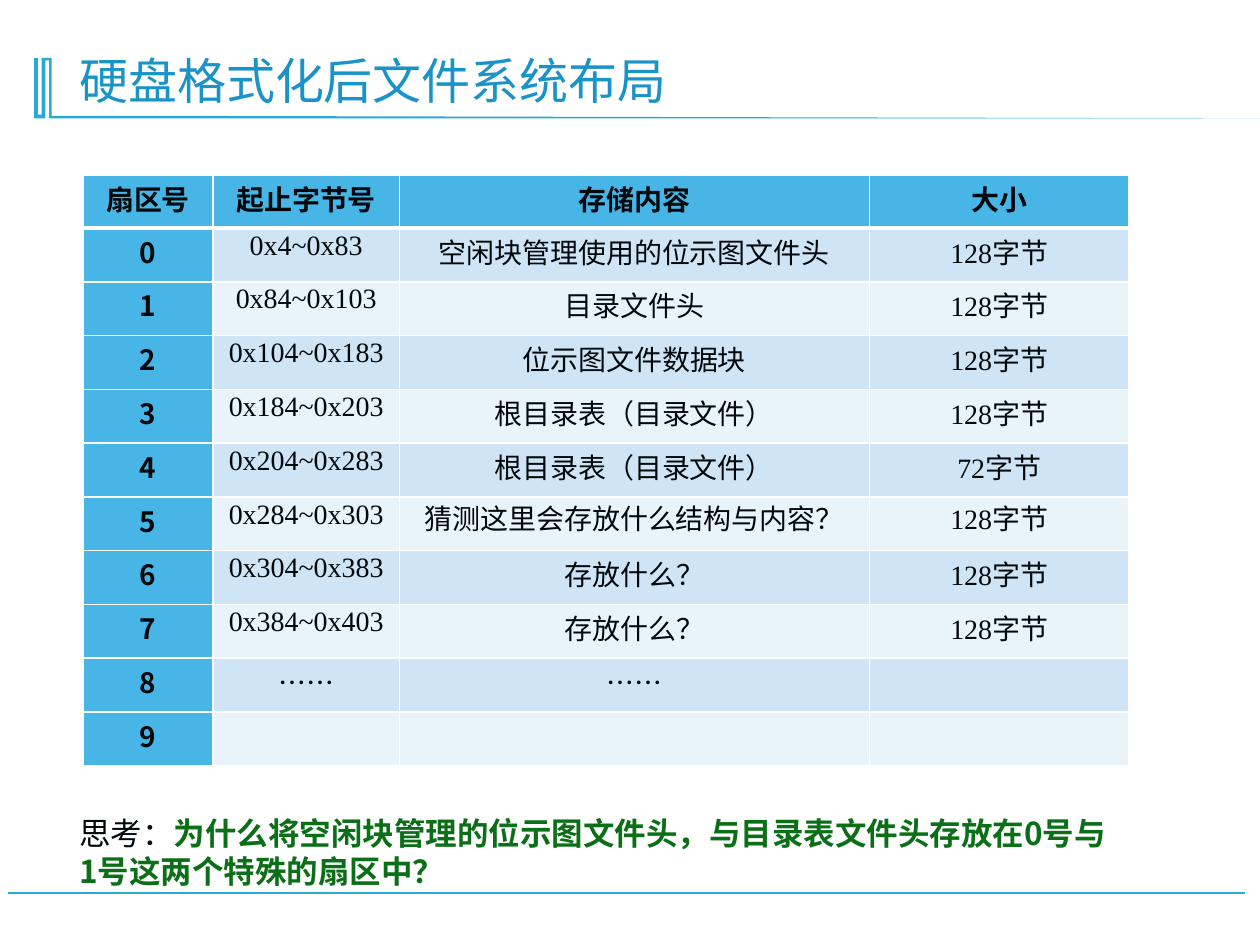
from lxml.etree import SubElement
from pptx import Presentation
from pptx.dml.color import RGBColor
from pptx.enum.shapes import MSO_CONNECTOR
from pptx.enum.text import MSO_ANCHOR, MSO_AUTO_SIZE, PP_ALIGN
from pptx.oxml import parse_xml
from pptx.oxml.ns import nsdecls, qn
from pptx.util import Inches, Pt

U = Inches(0.1)
CJK, SERIF = "Noto Sans CJK SC", "Times New Roman"
C = {"accent": "28A9D6", "title": "1A93C8", "head": "47B6E7", "odd": "CFE5F6",
     "even": "E9F3FA", "ink": "01080B", "green": "0B6F17", "rule": "FFFFFF"}


def add_run(p, text, size, font, color, bold=False):
    r = p.add_run()
    r.text = text
    r.font.size = Pt(size)
    r.font.name = font
    r.font.bold = bold
    r.font.color.rgb = RGBColor.from_string(C[color])
    SubElement(r.font._element, qn("a:ea")).set("typeface", CJK)


def add_borders(cell, widths):
    for i, (side, width) in enumerate(zip("LRTB", widths)):
        cell._tc.get_or_add_tcPr().insert(i, parse_xml(
            f'<a:ln{side} {nsdecls("a")} w="{Pt(width)}"><a:solidFill>'
            f'<a:srgbClr val="{C["rule"]}"/></a:solidFill></a:ln{side}>'))


prs = Presentation()
prs.slide_width, prs.slide_height = 100 * U, 75 * U
s = prs.slides.add_slide(prs.slide_layouts[5])

footer = s.shapes.add_connector(
    MSO_CONNECTOR.STRAIGHT, int(98.8 * U), int(70.9 * U), int(0.6 * U), int(70.9 * U))
footer.line.color.rgb = RGBColor.from_string(C["accent"])
footer.line.width = Pt(1.25)
SubElement(footer._element.spPr, qn("a:effectLst"))

outline = [(4.1, 4.6), (4.1, 9.2), (14, 9.2), (100.9, 9.4), (3.9, 9.4), (3.9, 4.8),
           (3.6, 4.8), (3.6, 9.4), (2.7, 9.4), (2.7, 4.6), (3, 4.6), (3, 9.1),
           (3.3, 9.1), (3.3, 4.6)]
points = [(int(x * U), int(y * U)) for x, y in outline]
fb = s.shapes.build_freeform(*points[0])
fb.add_line_segments(points[1:], close=True)
ornament = fb.convert_to_shape()
ornament.shadow.inherit = False
ornament.fill.solid()
ornament.fill.fore_color.rgb = RGBColor.from_string(C["accent"])
ornament.line.fill.background()

title = s.shapes.title
title.left, title.top, title.width, title.height = [int(v * U) for v in (5.3, 2.8, 88.5, 6.4)]
tf = title.text_frame
tf.auto_size = MSO_AUTO_SIZE.NONE
tf.vertical_anchor = MSO_ANCHOR.BOTTOM
p = tf.paragraphs[0]
p.alignment = PP_ALIGN.LEFT
p.line_spacing = 0.9
add_run(p, "硬盘格式化后文件系统布局", 28, SERIF, "title")

rows = [
    ("扇区号", "起止字节号", "存储内容", "大小"),
    ("0", "0x4~0x83", "空闲块管理使用的位示图文件头", "128字节"),
    ("1", "0x84~0x103", "目录文件头", "128字节"),
    ("2", "0x104~0x183", "位示图文件数据块", "128字节"),
    ("3", "0x184~0x203", "根目录表（目录文件）", "128字节"),
    ("4", "0x204~0x283", "根目录表（目录文件）", "72字节"),
    ("5", "0x284~0x303", "猜测这里会存放什么结构与内容？", "128字节"),
    ("6", "0x304~0x383", "存放什么？", "128字节"),
    ("7", "0x384~0x403", "存放什么？", "128字节"),
    ("8", "……", "……", ""),
    ("9", "", "", ""),
]
col_widths = [10.3, 14.8, 37.3, 20.6]
table = s.shapes.add_table(len(rows), len(col_widths), int(6.6 * U), int(13.9 * U),
                           int(sum(col_widths) * U), int(46.9 * U)).table
for col, width in zip(table.columns, col_widths):
    col.width = int(width * U)
for i, row in enumerate(rows):
    table.rows[i].height = int((4.27 if i else 4.2) * U)
    for j, text in enumerate(row):
        cell = table.cell(i, j)
        bold = i == 0 or j == 0
        fill = "head" if bold else "odd" if i % 2 else "even"
        cell.fill.solid()
        cell.fill.fore_color.rgb = RGBColor.from_string(C[fill])
        add_borders(cell, (1, 1, 3 if i == 1 else 1, 3 if i == 0 else 1))
        cell.margin_left = cell.margin_right = int(0.7 * U)
        cell.margin_top = cell.margin_bottom = 0
        if text:
            p = cell.text_frame.paragraphs[0]
            p.alignment = PP_ALIGN.CENTER
            p.line_spacing = 1 if i == 6 and j > 1 else 1.07
            font = CJK if bold or text in ("……", "存放什么？") else SERIF
            add_run(p, text, 16, font, "ink", bold)

question = s.shapes.add_textbox(*[int(v * U) for v in (5.3, 64.1, 84.3, 7.1)])
tf = question.text_frame
tf.word_wrap = True
tf.auto_size = MSO_AUTO_SIZE.SHAPE_TO_FIT_TEXT
p = tf.paragraphs[0]
add_run(p, "思考：", 18, CJK, "ink")
add_run(p, "为什么将空闲块管理的位示图文件头，与目录表文件头存放在0号与1号这两个特殊的扇区中？",
        18, CJK, "green", True)

prs.save("out.pptx")
